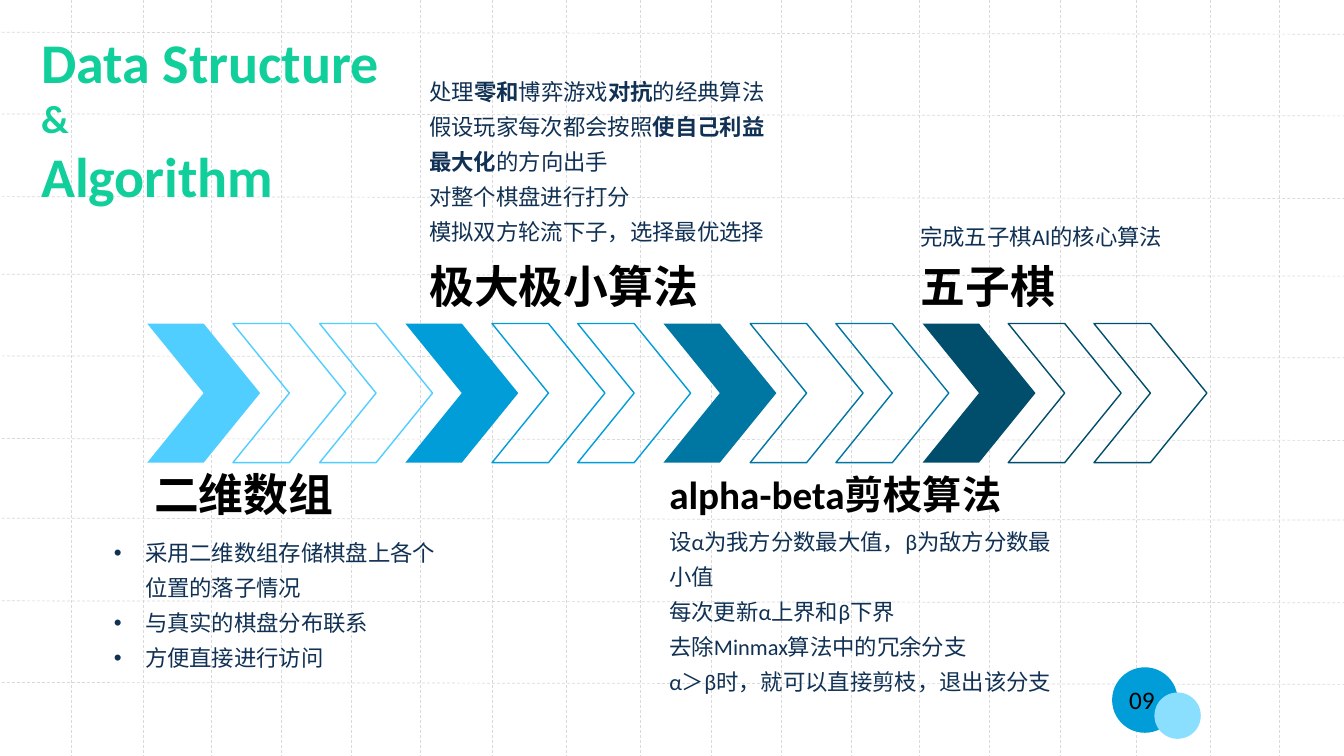
from itertools import cycle
from pptx import Presentation
from pptx.dml.color import RGBColor
from pptx.enum.dml import MSO_LINE as Dash
from pptx.enum.shapes import MSO_CONNECTOR as Connector, MSO_SHAPE as Shape
from pptx.enum.text import MSO_AUTO_SIZE as AutoSize
from pptx.oxml.ns import qn
from pptx.util import Pt
from lxml.etree import SubElement

PX = 9144
GRID = RGBColor(0xD9, 0xD9, 0xD9)
GREEN = RGBColor(0x10, 0xCF, 0x9B)
NAVY = RGBColor(0x10, 0x31, 0x54)
BLACK = RGBColor(0x00, 0x00, 0x00)
SKY = RGBColor(0x4F, 0xCE, 0xFF)
BLUE = RGBColor(0x00, 0x9D, 0xD9)
TEAL = RGBColor(0x00, 0x76, 0xA3)
DEEP = RGBColor(0x00, 0x4E, 0x6C)
PALE = RGBColor(0x8A, 0xDF, 0xFF)

deck = Presentation()
deck.slide_width, deck.slide_height = 1333 * PX, 750 * PX
page = deck.slides.add_slide(deck.slide_layouts[6])


def add_text(text, at, sizes=(16,), color=NAVY, bold=False, spacing=None, bullet=None):
    box = page.shapes.add_textbox(*(value * PX for value in at))
    frame = box.text_frame
    frame.word_wrap = True
    frame.auto_size = AutoSize.SHAPE_TO_FIT_TEXT
    for index, (line, size) in enumerate(zip(text.split("\n"), cycle(sizes))):
        para = frame.add_paragraph() if index else frame.paragraphs[0]
        if bullet:
            props = para._p.get_or_add_pPr()
            props.set("marL", str(31 * PX))
            props.set("indent", str(-31 * PX))
            SubElement(props, qn("a:buFont"), typeface="Arial")
            SubElement(props, qn("a:buChar"), char=bullet)
        if spacing:
            para.line_spacing = spacing
        for part, words in enumerate(line.split("**")):
            if words:
                span = para.add_run()
                span.text = words
                span.font.name = "Calibri"
                span.font.size = Pt(size)
                span.font.bold = bold or part % 2 == 1
                span.font.color.rgb = color


def add_shape(kind, at, fill=None, outline=None):
    shape = page.shapes.add_shape(kind, *(value * PX for value in at))
    shape.shadow.inherit = False
    if fill is None:
        shape.fill.background()
    else:
        shape.fill.solid()
        shape.fill.fore_color.rgb = fill
    if outline is None:
        shape.line.fill.background()
    else:
        shape.line.color.rgb = outline
        shape.line.width = Pt(1)


columns = (71, 142, 210, 279, 348, 417, 488, 562, 635,
           706, 775, 844, 912, 981, 1052, 1127, 1200, 1269)
rows = (679, 598, 516, 437, 355, 274, 197, 115, 34)
grid_lines = [(x, -15, x, 758) for x in columns] + [(1354, y, -46, y - 2) for y in rows]
for ends in grid_lines:
    line = page.shapes.add_connector(Connector.STRAIGHT, *(value * PX for value in ends))
    line.line.color.rgb = GRID
    line.line.width = Pt(0.5)
    line.line.dash_style = Dash.DASH
    SubElement(line._element.spPr, qn("a:effectLst"))

add_shape(Shape.OVAL, (1103, 662, 65, 65), fill=BLUE)
add_shape(Shape.OVAL, (1145, 687, 46, 46), fill=PALE)

add_text("Data Structure\n&\nAlgorithm", (31, 22, 499, 192),
         sizes=(40, 28, 40), color=GREEN, bold=True)

for stage, color in enumerate((SKY, BLUE, TEAL, DEEP)):
    for step in range(3):
        left = 146 + round((stage * 3 + step) * 85.4)
        look = {"outline": color} if step else {"fill": color}
        add_shape(Shape.CHEVRON, (left, 321, 112, 138), **look)

headings = (
    ("二维数组", (143, 458, 306, 64), 32),
    ("极大极小算法", (416, 252, 408, 64), 32),
    ("alpha-beta剪枝算法", (654, 462, 484, 57), 28),
    ("五子棋", (903, 252, 295, 64), 32),
)
for heading, at, size in headings:
    add_text(heading, at, sizes=(size,), color=BLACK, bold=True)

add_text("采用二维数组存储棋盘上各个位置的落子情况\n与真实的棋盘分布联系\n方便直接进行访问",
         (103, 522, 355, 147), spacing=1.3, bullet="•")
add_text("处理**零和**博弈游戏**对抗**的经典算法\n"
         "假设玩家每次都会按照**使自己利益最大化**的方向出手\n"
         "对整个棋盘进行打分\n模拟双方轮流下子，选择最优选择",
         (416, 65, 355, 182), spacing=1.3)
add_text("设α为我方分数最大值，β为敌方分数最小值\n每次更新α上界和β下界\n"
         "去除Minmax算法中的冗余分支\nα＞β时，就可以直接剪枝，退出该分支",
         (654, 511, 404, 182), spacing=1.3)
add_text("完成五子棋AI的核心算法", (903, 208, 290, 42), spacing=1.3)
add_text("09", (1110, 674, 58, 42), sizes=(18,), color=BLACK)

deck.save("out.pptx")
